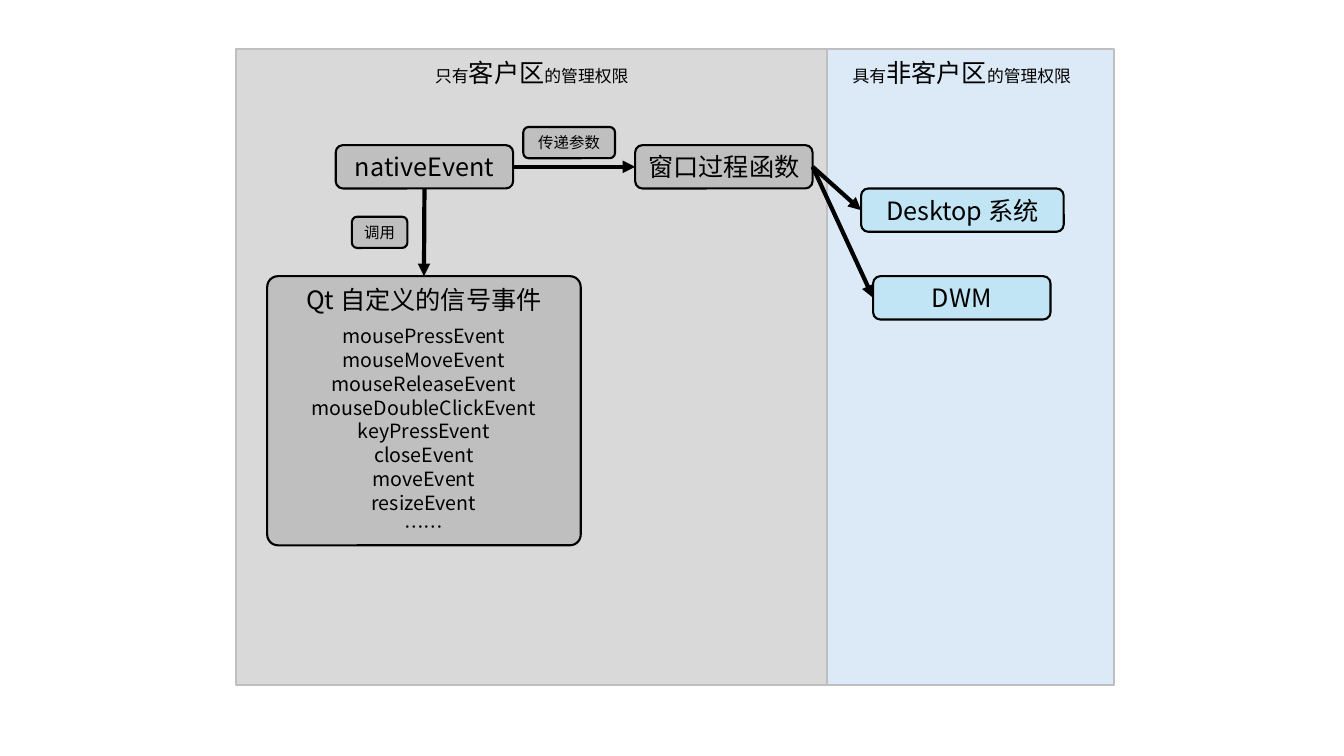
from pptx import Presentation
from pptx.dml.color import RGBColor
from pptx.enum.shapes import MSO_CONNECTOR, MSO_SHAPE
from pptx.enum.text import MSO_ANCHOR, PP_ALIGN
from pptx.oxml.ns import qn
from pptx.util import Inches, Pt
from lxml import etree

ROUND = MSO_SHAPE.ROUNDED_RECTANGLE
LINE = MSO_CONNECTOR.STRAIGHT
MIDDLE = MSO_ANCHOR.MIDDLE
CENTER = PP_ALIGN.CENTER
BLACK = RGBColor(0x00, 0x00, 0x00)
PALE = RGBColor(0xD9, 0xD9, 0xD9)
GRAY = RGBColor(0xBF, 0xBF, 0xBF)
SKY = RGBColor(0xDC, 0xEA, 0xF7)
CYAN = RGBColor(0xC1, 0xE5, 0xF5)
FONT = "Noto Sans CJK SC"
TOP, BOTTOM, LEFT, RIGHT = 0, 2, 1, 3

deck = Presentation()
deck.slide_width, deck.slide_height = Inches(13.33), Inches(7.5)
slide = deck.slides.add_slide(deck.slide_layouts[6])
shapes = slide.shapes


def add_box(left, top, width, height, fill, edge):
    box = shapes.add_shape(ROUND, Inches(left), Inches(top), Inches(width), Inches(height))
    box.shadow.inherit = False
    box.fill.solid()
    box.fill.fore_color.rgb = fill
    box.line.color.rgb = edge
    box.line.width = Pt(1.5)
    box.text_frame.word_wrap = True
    box.text_frame.vertical_anchor = MIDDLE
    return box


def style(para, *sizes):
    para.alignment = CENTER
    for run, size in zip(para.runs, sizes):
        run.font.size = Pt(size)
        run.font.name = FONT
        run.font.color.rgb = BLACK
        east = etree.SubElement(run.font._element, qn("a:ea"))
        east.set("typeface", FONT)


for left, width, fill in [(2.34, 5.87, PALE), (8.2, 2.85, SKY)]:
    panel = add_box(left, 0.49, width, 6.31, fill, GRAY)
    panel.adjustments[0] = 0

nodes = {}
for name, left, top, width, fill in [
    ("窗口过程函数", 6.3, 1.44, 1.76, GRAY),
    ("nativeEvent", 3.33, 1.44, 1.76, GRAY),
    ("Desktop 系统", 8.54, 1.87, 2.01, CYAN),
    ("DWM", 8.66, 2.74, 1.76, CYAN),
]:
    node = add_box(left, top, width, 0.43, fill, BLACK)
    node.text_frame.text = name
    style(node.text_frame.paragraphs[0], 18)
    nodes[name] = node

events = add_box(2.65, 2.74, 3.11, 2.67, GRAY, BLACK)
events.adjustments[0] = 0.04
events.text_frame.text = "\n".join([
    "Qt 自定义的信号事件",
    "mousePressEvent",
    "mouseMoveEvent",
    "mouseReleaseEvent",
    "mouseDoubleClickEvent",
    "keyPressEvent",
    "closeEvent",
    "moveEvent",
    "resizeEvent",
    "……",
])
head, *items = events.text_frame.paragraphs
style(head, 18)
head.line_spacing = Pt(22)
head.space_after = Pt(7)
for item in items:
    style(item, 14)
    item.line_spacing = Pt(17)

native, window = nodes["nativeEvent"], nodes["窗口过程函数"]
for start, exit, end, entry in [
    (window, RIGHT, nodes["Desktop 系统"], LEFT),
    (window, RIGHT, nodes["DWM"], LEFT),
    (native, RIGHT, window, LEFT),
    (native, BOTTOM, events, TOP),
]:
    arrow = shapes.add_connector(LINE, 0, 0, 0, 0)
    arrow.begin_connect(start, exit)
    arrow.end_connect(end, entry)
    arrow.line.color.rgb = BLACK
    arrow.line.width = Pt(3)
    tail = etree.SubElement(arrow.line._get_or_add_ln(), qn("a:tailEnd"))
    tail.set("type", "triangle")
    etree.SubElement(arrow._element.spPr, qn("a:effectLst"))

for name, left, top, width in [("调用", 3.49, 2.15, 0.55), ("传递参数", 5.19, 1.26, 0.91)]:
    label = add_box(left, top, width, 0.31, GRAY, BLACK)
    label.text_frame.text = name
    style(label.text_frame.paragraphs[0], 11)

for left, width, parts in [
    (4.19, 2.17, ["只有", "客户区", "的管理权限"]),
    (8.33, 2.42, ["具有", "非客户区", "的管理权限"]),
]:
    title = shapes.add_textbox(Inches(left), Inches(0.52), Inches(width), Inches(0.4))
    title.text_frame.word_wrap = True
    para = title.text_frame.paragraphs[0]
    for part in parts:
        para.add_run().text = part
    style(para, 12, 18, 12)

deck.save("out.pptx")
